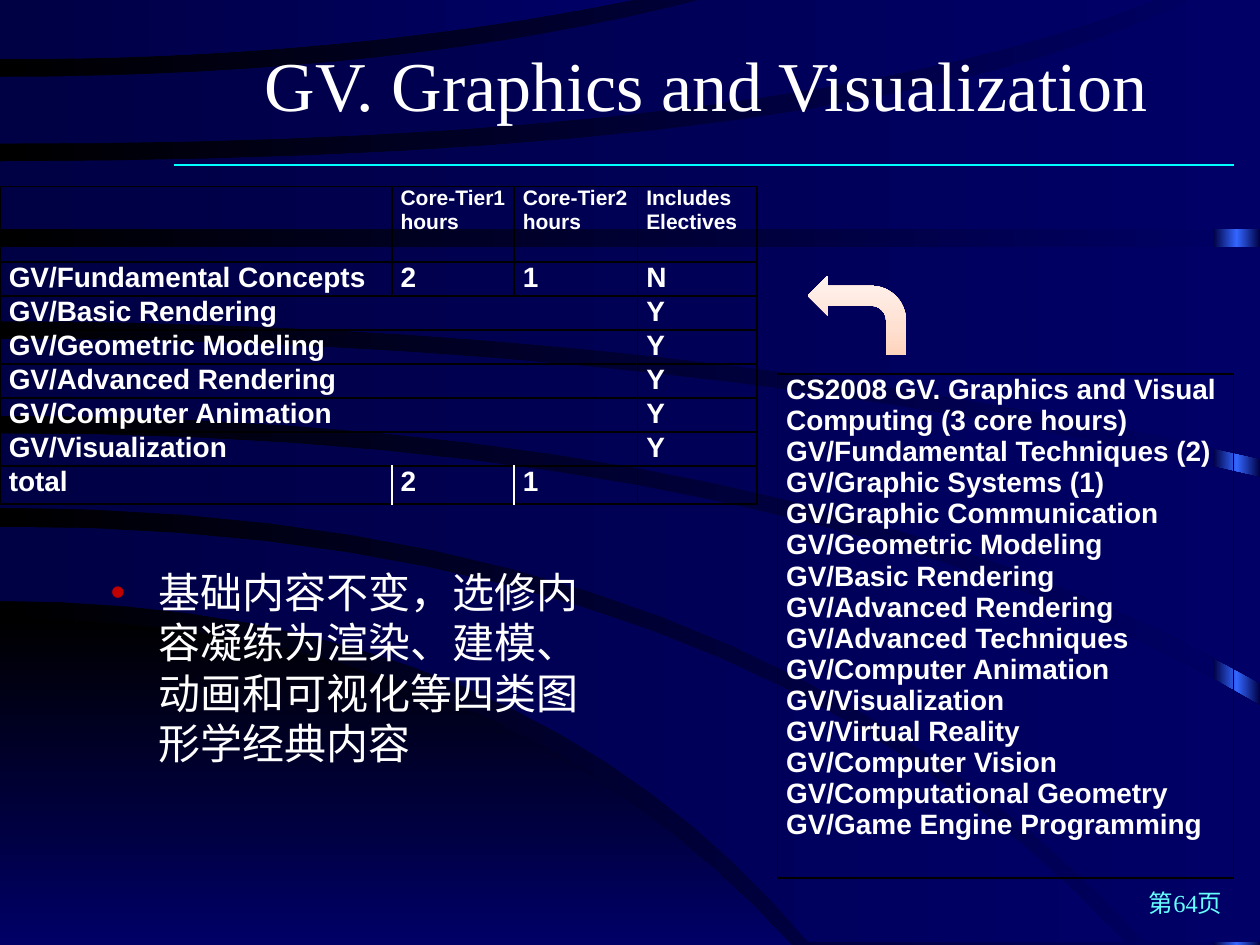
import pptx
import pptx.dml.color
import pptx.enum.shapes
import pptx.enum.text
import pptx.oxml
import pptx.oxml.ns
import pptx.util
from pptx.util import Inches

ALIGN = pptx.enum.text.PP_ALIGN
ANCHOR = pptx.enum.text.MSO_ANCHOR
SHAPE = pptx.enum.shapes.MSO_SHAPE
NS = pptx.oxml.ns.nsdecls("a")
CJK = "Noto Sans CJK SC"
NIGHT_STOPS = [(0, "000000"), (100, "000066")]
WAVE_STOPS = [(0, "000044"), (100, "000066")]

# Each wave: upper edge, lower edge, corners between their right ends.
# An edge leaves the left side level: start y, bend x, end x, end y.
HILL = ((4.91, 3.93, 6.28, 7.5), (7.5, 3, 6.28, 7.5), [])
WAVES = [
    ((4.18, 5.87, 8.93, 7.48), (4.77, 4.15, 6.42, 7.48), []),
    ((3.44, 6.4, 10, 5.6), (4.03, 5.95, 9.09, 7.48), [(10, 7.48)]),
    ((2.69, 5.4, 10, 3.79), (3.3, 6.3, 10, 5.42), []),
    ((1.96, 5, 10, 1.96), (2.55, 5.3, 10, 3.64), []),
    ((1.28, 6.9, 9.43, 0), (1.82, 5, 10, 1.82), [(10, 0)]),
    ((0.61, 3.2, 5.56, 0), (1.14, 6.3, 9.17, 0), []),
    ((0, 2.5, 5.01, 0), (0.47, 2.7, 5.01, 0), []),
]

HEADINGS = ["", "Core-Tier1\nhours", "Core-Tier2\nhours", "Includes\nElectives"]
ELECTIVES = ["GV/Basic Rendering", "GV/Geometric Modeling", "GV/Advanced Rendering",
             "GV/Computer Animation", "GV/Visualization"]
UNITS = [HEADINGS, ["GV/Fundamental Concepts", "2", "1", "N"],
         *[[unit, "", "", "Y"] for unit in ELECTIVES], ["total", "2", "1", ""]]
CS2008 = """CS2008 GV. Graphics and Visual Computing (3 core hours)
GV/Fundamental Techniques (2)
GV/Graphic Systems (1)
GV/Graphic Communication
GV/Geometric Modeling
GV/Basic Rendering
GV/Advanced Rendering
GV/Advanced Techniques
GV/Computer Animation
GV/Visualization
GV/Virtual Reality
GV/Computer Vision
GV/Computational Geometry
GV/Game Engine Programming"""


def color(value):
    return pptx.dml.color.RGBColor.from_string(value)


def paint_gradient(fill, element, stops, angle=0):
    """Fill with (percent, colour) stops; the angle runs clockwise."""
    fill.solid()
    solid = next(element.iter(pptx.oxml.ns.qn("a:solidFill")))
    marks = "".join(f'<a:gs pos="{percent * 1000}"><a:srgbClr val="{value}"/></a:gs>'
                    for percent, value in stops)
    solid.getparent().replace(solid, pptx.oxml.parse_xml(
        f'<a:gradFill {NS} rotWithShape="1"><a:gsLst>{marks}</a:gsLst>'
        f'<a:lin ang="{angle * 60000}" scaled="0"/></a:gradFill>'))


def paint_shape(shape, stops, angle=0):
    shape.shadow.inherit = False
    shape.line.fill.background()
    paint_gradient(shape.fill, shape._element, stops, angle)


def write(frame, text, size, font="Arial", fill="FFFFFF", bold=False, align=ALIGN.LEFT,
          bullet=None, spacing=None):
    frame.word_wrap = True
    for index, line in enumerate(text.split("\n")):
        paragraph = frame.paragraphs[0] if index == 0 else frame.add_paragraph()
        paragraph.alignment = align
        if spacing:
            paragraph.line_spacing = pptx.util.Pt(spacing)
        if bullet:
            properties = paragraph._p.get_or_add_pPr()
            properties.set("marL", str(Inches(0.38)))
            properties.set("indent", str(Inches(-0.38)))
            for xml in (f'<a:buClr {NS}><a:srgbClr val="{bullet}"/></a:buClr>',
                        f'<a:buFont {NS} typeface="Arial"/>', f'<a:buChar {NS} char="•"/>'):
                properties.append(pptx.oxml.parse_xml(xml))
        run = paragraph.add_run()
        run.text = line
        run.font.size = pptx.util.Pt(size)
        run.font.bold = bold
        run.font.name = font
        run.font.color.rgb = color(fill)
        run.font._element.find(pptx.oxml.ns.qn("a:latin")).addnext(
            pptx.oxml.parse_xml(f'<a:ea {NS} typeface="{CJK}"/>'))


def add_text(slide, box, text, size, anchor=ANCHOR.TOP, **style):
    frame = slide.shapes.add_textbox(*map(Inches, box)).text_frame
    frame.vertical_anchor = anchor
    write(frame, text, size, **style)


def trace_edge(start_y, bend_x, end_x, end_y, steps=16):
    """Points of a quadratic curve that starts level at the left side."""
    fractions = [step / steps for step in range(steps + 1)]
    return [(2 * t * (1 - t) * bend_x + t * t * end_x, start_y + t * t * (end_y - start_y))
            for t in fractions]


def add_wave(slide, wave, stops, angle=0):
    upper, lower, corners = wave
    outline = trace_edge(*upper) + corners + trace_edge(*lower)[::-1]
    start, *rest = [(Inches(x), Inches(y)) for x, y in outline]
    builder = slide.shapes.build_freeform(*start)
    builder.add_line_segments(rest, close=True)
    paint_shape(builder.convert_to_shape(), stops, angle)


def add_backdrop(slide):
    paint_gradient(slide.background.fill, slide._element, NIGHT_STOPS)
    glow = slide.shapes.add_shape(SHAPE.RECTANGLE, *map(Inches, (9.63, 0, 0.37, 7.5)))
    paint_shape(glow, [(0, "000044"), (50, "3366FF"), (100, "000044")])
    add_wave(slide, HILL, NIGHT_STOPS, 90)
    for wave in WAVES:
        add_wave(slide, wave, WAVE_STOPS)


def add_rule(slide, left, top, width):
    rule = slide.shapes.add_connector(pptx.enum.shapes.MSO_CONNECTOR.STRAIGHT, Inches(left),
                                      Inches(top), Inches(left + width), Inches(top))
    rule.line.color.rgb = color("00FFFF")
    rule.line.width = pptx.util.Pt(0.75)
    rule._element.spPr.append(pptx.oxml.parse_xml(f"<a:effectLst {NS}/>"))


def format_cell(cell, left="000000", right="000000"):
    cell.margin_left = cell.margin_right = Inches(0.07)
    cell.margin_top = cell.margin_bottom = 0
    for side, value in zip("LRTB", (left, right, "000000", "000000")):
        cell._tc.get_or_add_tcPr().append(pptx.oxml.parse_xml(
            f'<a:ln{side} {NS} w="12700"><a:solidFill><a:srgbClr val="{value}"/>'
            f'</a:solidFill></a:ln{side}>'))
    cell.fill.background()


def add_grid(slide, left, top, widths, heights):
    table = slide.shapes.add_table(len(heights), len(widths), Inches(left), Inches(top),
                                   Inches(sum(widths)), Inches(sum(heights))).table
    table.first_row = table.horz_banding = False
    for column, width in zip(table.columns, widths):
        column.width = Inches(width)
    for row, height in zip(table.rows, heights):
        row.height = Inches(height)
    return table


def add_hours_table(slide, left, top):
    table = add_grid(slide, left, top, [3.11, 0.97, 0.98, 0.95], [0.6] + [0.27] * 7)
    last = len(UNITS) - 1
    for r, unit in enumerate(UNITS):
        if unit[0] in ELECTIVES:
            table.cell(r, 0).merge(table.cell(r, 2))
        for c, text in enumerate(unit):
            cell = table.cell(r, c)
            format_cell(cell, "FFFFFF" if r == last and c in (1, 2) else "000000",
                        "FFFFFF" if r == last and c in (0, 1) else "000000")
            if not cell.is_spanned:
                write(cell.text_frame, text, 12 if r == 0 else 16, bold=True)


def add_cs2008_list(slide, left, top):
    cell = add_grid(slide, left, top, [3.62], [4]).cell(0, 0)
    format_cell(cell)
    write(cell.text_frame, CS2008, 16, bold=True)


def add_change_arrow(slide, box):
    arrow = slide.shapes.add_shape(SHAPE.BENT_ARROW, *map(Inches, box))
    arrow.rotation = 180
    arrow._element.spPr.xfrm.set("flipV", "1")
    paint_shape(arrow, [(0, "FFD4BD"), (35, "FFE0D1"), (100, "FFF3EE")], 270)


def main():
    deck = pptx.Presentation()
    deck.slide_width, deck.slide_height = Inches(10), Inches(7.5)
    slide = deck.slides.add_slide(deck.slide_layouts[6])
    add_backdrop(slide)
    add_rule(slide, 1.38, 1.31, 8.41)
    add_text(slide, (1.39, 0.19, 8.43, 0.94), "GV. Graphics and Visualization", 40,
             anchor=ANCHOR.MIDDLE, font="Times New Roman", align=ALIGN.CENTER)
    add_hours_table(slide, 0, 1.48)
    add_cs2008_list(slide, 6.17, 2.97)
    add_change_arrow(slide, (6.41, 2.19, 0.78, 0.63))
    add_text(slide, (0.78, 4.45, 3.98, 1.72),
             "基础内容不变，选修内容凝练为渲染、建模、动画和可视化等四类图形学经典内容", 24,
             font=CJK, bullet="C00000", spacing=28.7)
    add_text(slide, (7.72, 7, 2.08, 0.36), "第64页", 14, font="Times New Roman",
             fill="66FFFF", align=ALIGN.RIGHT)
    deck.save("out.pptx")


if __name__ == "__main__":
    main()
